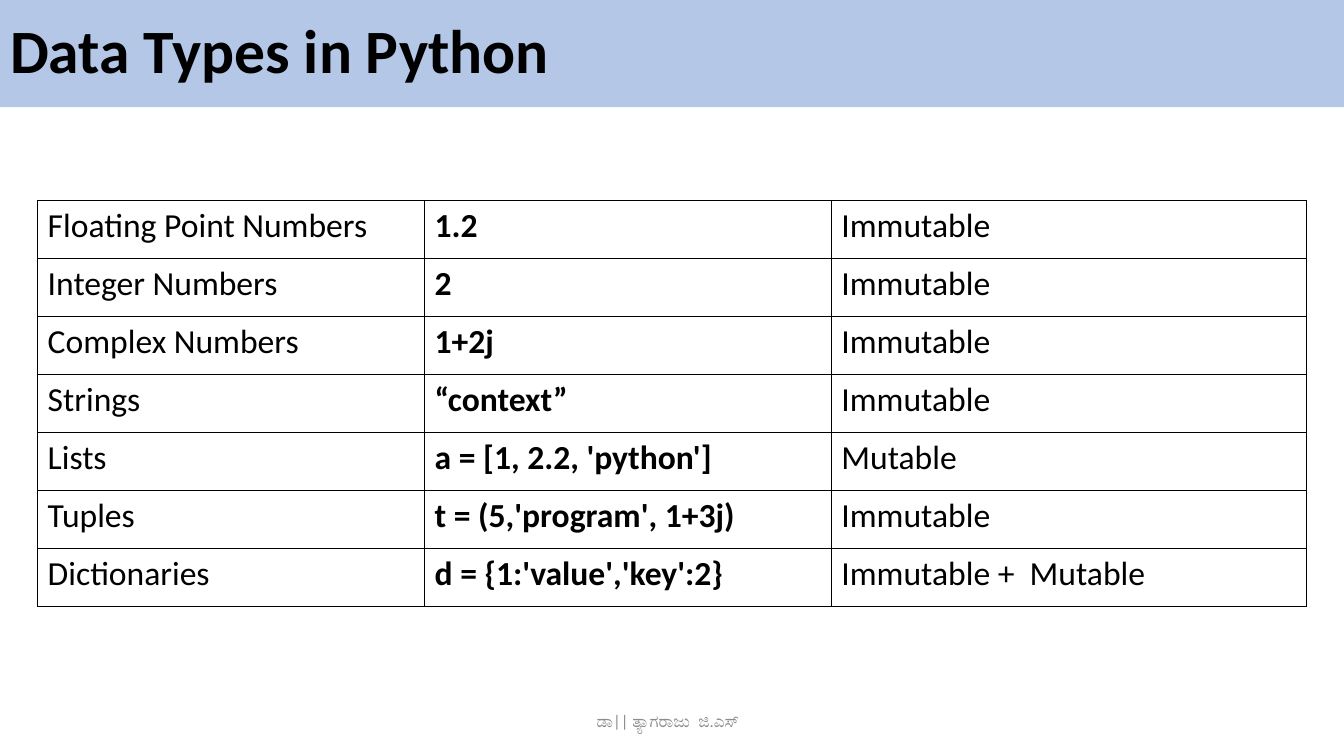
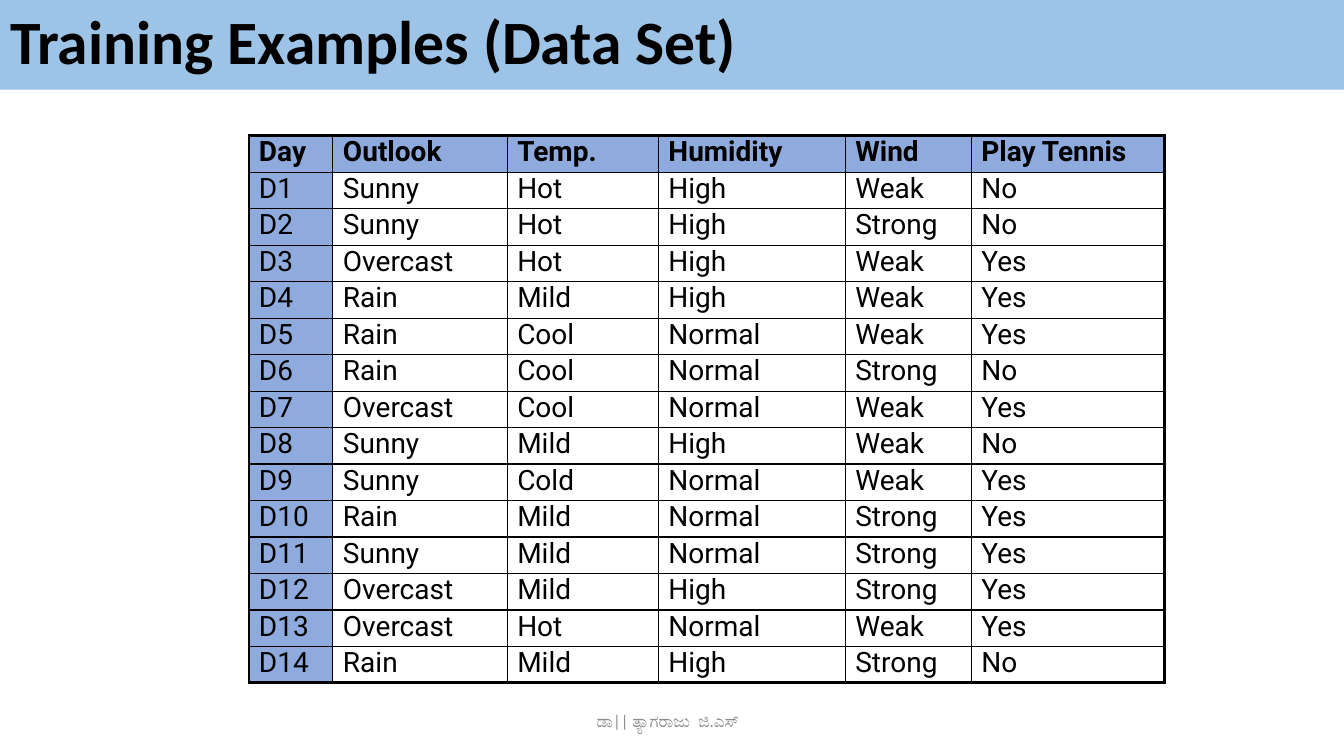
"""Build two slides on Python data types and a training data set."""
from lxml import etree
from pptx import Presentation
from pptx import util as u
from pptx.dml.color import RGBColor
from pptx.enum import text
from pptx.oxml import ns

BLACK = RGBColor(0x00, 0x00, 0x00)
GREY = RGBColor(0x8C, 0x8C, 0x8C)
PALE_BLUE = RGBColor(0xB4, 0xC7, 0xE7)
SKY_BLUE = RGBColor(0x9D, 0xC3, 0xE6)
HEADER_BLUE = RGBColor(0x8F, 0xAA, 0xDC)

SLIDE_WIDTH, SLIDE_HEIGHT = 960, 540
TITLE_ONLY = 5
THIN, THICK = 1, 2.25
FOOTER = "ಡಾ|| ತ್ಯಾಗರಾಜು  ಜಿ.ಎಸ್"

DATA_TYPES = [
    ("Floating Point Numbers", "1.2", "Immutable"),
    ("Integer Numbers", "2", "Immutable"),
    ("Complex Numbers", "1+2j", "Immutable"),
    ("Strings", "“context”", "Immutable"),
    ("Lists", "a = [1, 2.2, 'python']", "Mutable"),
    ("Tuples", "t = (5,'program', 1+3j)", "Immutable"),
    ("Dictionaries", "d = {1:'value','key':2}", "Immutable +  Mutable"),
]
HEADINGS = ("Day", "Outlook", "Temp.", "Humidity", "Wind", "Play Tennis")
OBSERVATIONS = [
    ("Sunny", "Hot", "High", "Weak", "No"),
    ("Sunny", "Hot", "High", "Strong", "No"),
    ("Overcast", "Hot", "High", "Weak", "Yes"),
    ("Rain", "Mild", "High", "Weak", "Yes"),
    ("Rain", "Cool", "Normal", "Weak", "Yes"),
    ("Rain", "Cool", "Normal", "Strong", "No"),
    ("Overcast", "Cool", "Normal", "Weak", "Yes"),
    ("Sunny", "Mild", "High", "Weak", "No"),
    ("Sunny", "Cold", "Normal", "Weak", "Yes"),
    ("Rain", "Mild", "Normal", "Strong", "Yes"),
    ("Sunny", "Mild", "Normal", "Strong", "Yes"),
    ("Overcast", "Mild", "High", "Strong", "Yes"),
    ("Overcast", "Hot", "Normal", "Weak", "Yes"),
    ("Rain", "Mild", "High", "Strong", "No"),
]


def place(box, left, top, width, height):
    """Set the position and size of a shape in points."""
    box.left, box.top = u.Pt(left), u.Pt(top)
    box.width, box.height = u.Pt(width), u.Pt(height)


def write(frame, words, size, color=BLACK, font="Calibri", bold=False,
          align=text.PP_ALIGN.LEFT, spacing=None):
    """Fill a text frame with one formatted paragraph."""
    frame.text = words
    para = frame.paragraphs[0]
    para.alignment = align
    para.line_spacing = spacing
    span = para.runs[0].font
    span.name, span.size, span.bold = font, u.Pt(size), bold
    span.color.rgb = color


def add_page(deck, title, band_color, band_height):
    """Add a slide with a title band and the footer."""
    page = deck.slides.add_slide(deck.slide_layouts[TITLE_ONLY])
    band = page.shapes.title
    place(band, 0, 0, SLIDE_WIDTH, band_height)
    band.fill.solid()
    band.fill.fore_color.rgb = band_color
    write(band.text_frame, title, 44, bold=True, spacing=0.9)
    footer = page.shapes.add_textbox(u.Pt(315), u.Pt(500.5), u.Pt(324), u.Pt(28.75))
    footer.text_frame.word_wrap = True
    write(footer.text_frame, FOOTER, 12, GREY, align=text.PP_ALIGN.CENTER)
    for frame in (band.text_frame, footer.text_frame):
        frame.auto_size = text.MSO_AUTO_SIZE.NONE
        frame.vertical_anchor = text.MSO_ANCHOR.MIDDLE
    return page


def set_borders(cell, widths):
    """Draw black left, right, top and bottom borders of the given widths."""
    properties = cell._tc.get_or_add_tcPr()
    for side, width in zip("LRTB", widths):
        line = etree.SubElement(properties, ns.qn(f"a:ln{side}"), w=str(u.Pt(width)))
        fill = etree.SubElement(line, ns.qn("a:solidFill"))
        etree.SubElement(fill, ns.qn("a:srgbClr"), val=str(BLACK))


def add_grid(page, rows, left, top, widths, row_height, outer, style):
    """Add a bordered table; style gives fill and text options of a cell."""
    last_row, last_column = len(rows) - 1, len(widths) - 1
    table = page.shapes.add_table(
        len(rows), len(widths), u.Pt(left), u.Pt(top),
        u.Pt(sum(widths)), u.Pt(row_height * len(rows))).table
    table.first_row = table.horz_banding = False
    for column, width in zip(table.columns, widths):
        column.width = u.Pt(width)
    for i, values in enumerate(rows):
        table.rows[i].height = u.Pt(row_height)
        for j, value in enumerate(values):
            cell = table.cell(i, j)
            at_edge = (j == 0, j == last_column, i == 0, i == last_row)
            set_borders(cell, [outer if edge else THIN for edge in at_edge])
            color, options = style(i, j)
            if color is None:
                cell.fill.background()
            else:
                cell.fill.solid()
                cell.fill.fore_color.rgb = color
            write(cell.text_frame, value, **options)


def data_type_style(row, column):
    """Make the example column bold."""
    return None, {"size": 24, "bold": column == 1}


def training_style(row, column):
    """Shade the heading row and the day column."""
    color = HEADER_BLUE if row == 0 or column == 0 else None
    return color, {"size": 20, "font": "Roboto", "bold": row == 0, "spacing": 0.8}


def main():
    """Build and save the deck."""
    deck = Presentation()
    deck.slide_width, deck.slide_height = u.Pt(SLIDE_WIDTH), u.Pt(SLIDE_HEIGHT)

    page = add_page(deck, "Data Types in Python", PALE_BLUE, 76.5)
    add_grid(page, DATA_TYPES, 26.9, 143.3, (276.4, 290.6, 339.6), 41.4,
             THIN, data_type_style)

    page = add_page(deck, "Training Examples (Data Set)", SKY_BLUE, 64)
    days = [(f"D{day}", *values) for day, values in enumerate(OBSERVATIONS, 1)]
    add_grid(page, [HEADINGS, *days], 177.8, 97, (60, 124.5, 108, 133.5, 90, 138),
             26.05, THICK, training_style)

    deck.save("out.pptx")


if __name__ == "__main__":
    main()
